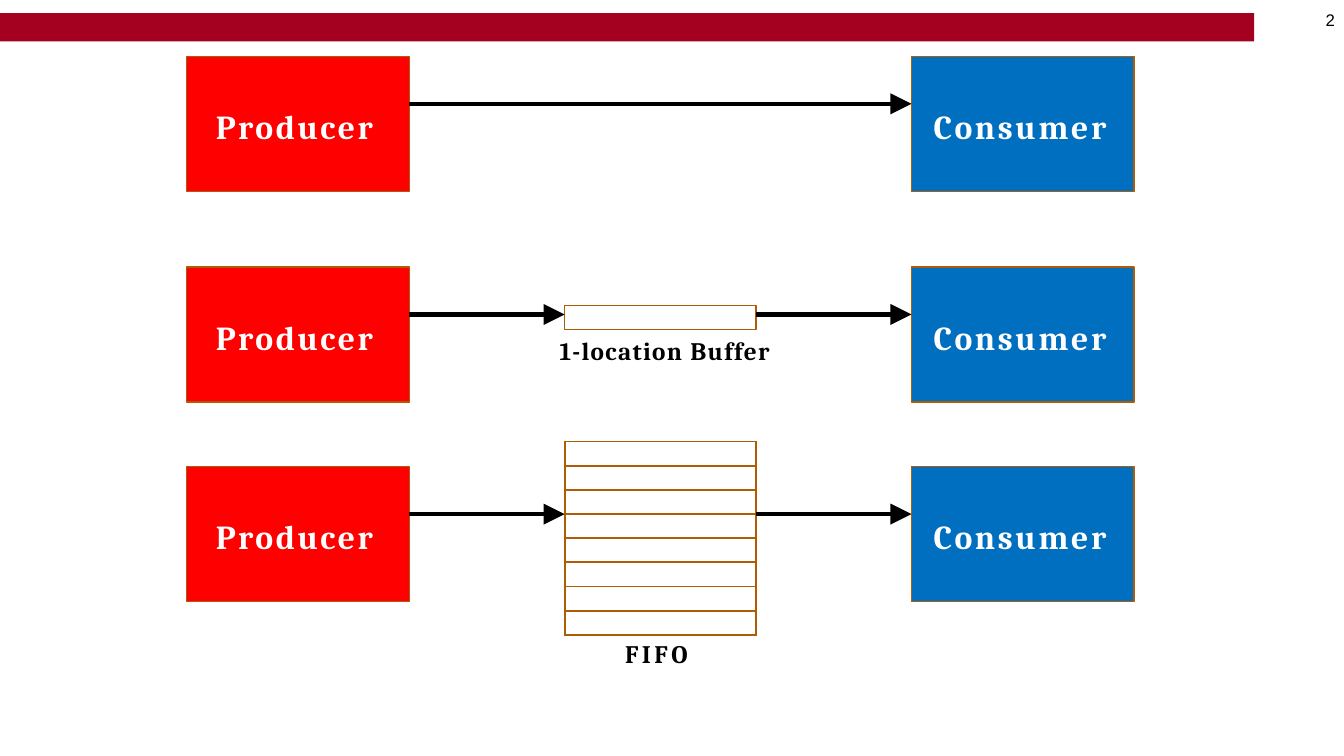
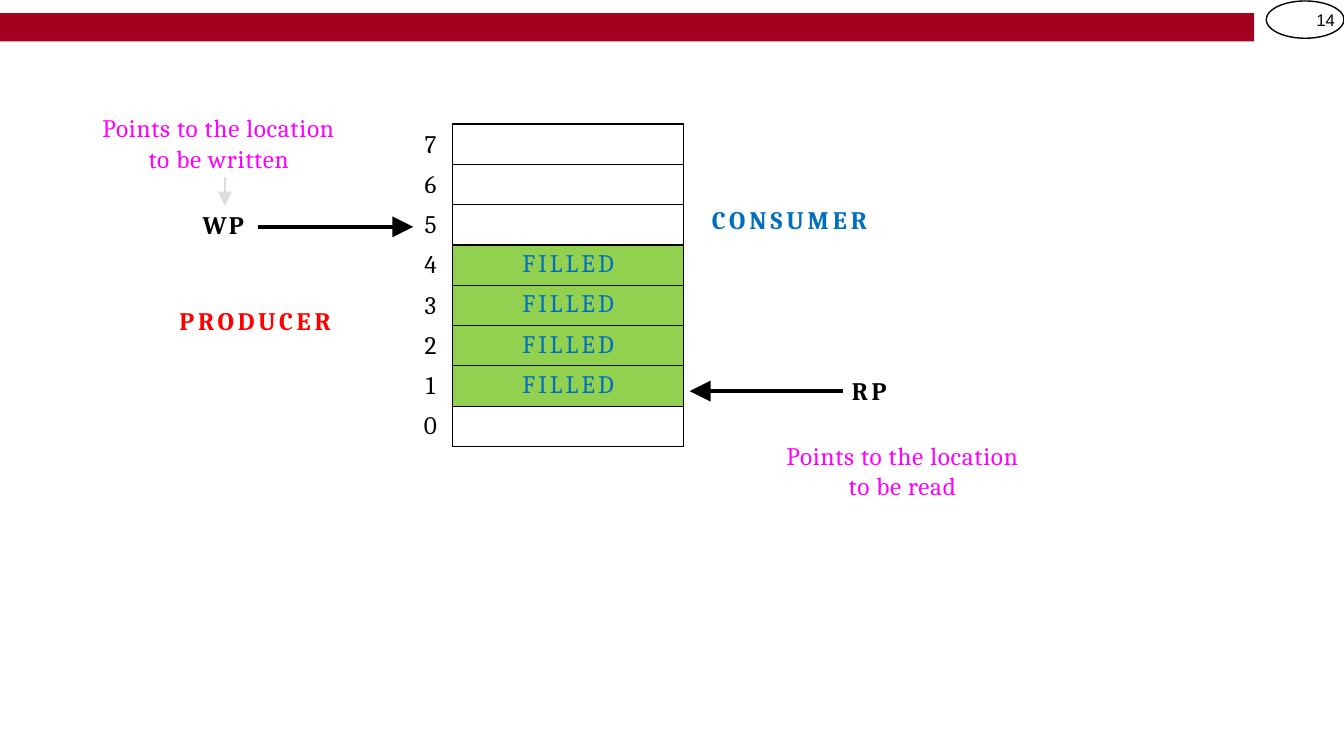
from lxml import etree
from pptx import Presentation, util as u
from pptx.dml.color import RGBColor
from pptx.enum import shapes, text
from pptx.oxml import ns

COLORS = {
    "band": "A40020", "outline": "AE5C05", "producer": "FF0000",
    "consumer": "006FC0", "filled": "92D050", "note": "FF00FF",
    "faint": "DDDDDD", "black": "000000", "white": "FFFFFF",
}
NUMBER = {"name": "Arial", "size": u.Pt(12), "bold": False}
BLOCK = {"name": "Cambria", "size": u.Pt(24), "bold": True}
LABEL = {"name": "Cambria", "size": u.Pt(18), "bold": True}
BODY = {"name": "Cambria", "size": u.Pt(18), "bold": False}
BLOCK_W, BLOCK_H = 2.21, 1.34


def rgb(color):
    return RGBColor.from_string(COLORS[color])


def inches(*lengths):
    return [u.Inches(length) for length in lengths]


def set_all(target, values):
    for name, value in values.items():
        setattr(target, name, value)


def set_margins(target, left=0, top=0):
    set_all(target, {"margin_left": u.Inches(left), "margin_top": u.Inches(top),
                     "margin_right": 0, "margin_bottom": 0})


def write(paragraph, words, style, color, spacing=0, **layout):
    set_all(paragraph, layout)
    run = paragraph.add_run()
    run.text = words
    set_all(run.font, style)
    run.font.color.rgb = rgb(color)
    run.font._element.set("spc", str(round(spacing * 100)))


def add_box(slide, kind, box, fill=None, line=None, width=1.1):
    shape = slide.shapes.add_shape(kind, *inches(*box))
    shape.shadow.inherit = False
    if fill:
        shape.fill.solid()
        shape.fill.fore_color.rgb = rgb(fill)
    else:
        shape.fill.background()
    if line:
        shape.line.color.rgb = rgb(line)
        shape.line.width = u.Pt(width)
    else:
        shape.line.fill.background()
    return shape


def add_label(slide, box, lines, style, color, spacing=0, top=0.01, **layout):
    frame = slide.shapes.add_textbox(*inches(*box)).text_frame
    frame.word_wrap = True
    set_margins(frame, top=top)
    for index, line in enumerate(lines):
        paragraph = frame.add_paragraph() if index else frame.paragraphs[0]
        write(paragraph, line, style, color, spacing, **layout)


def add_word(slide, left, top, width, word, color, spacing):
    add_label(slide, (left, top, width, 0.33), [word], LABEL, color, spacing,
              space_before=u.Pt(1))


def add_note(slide, left, top, lines):
    add_label(slide, (left, top, 2.48, 0.62), lines, BODY, "note", 0.5, top=0.03,
              alignment=text.PP_ALIGN.CENTER, line_spacing=u.Pt(21.5))


def add_arrow(slide, start, end, color="black", width=3):
    arrow = slide.shapes.add_connector(shapes.MSO_CONNECTOR.STRAIGHT, *inches(*start, *end))
    arrow.line.color.rgb = rgb(color)
    arrow.line.width = u.Pt(width)
    etree.SubElement(arrow.line._get_or_add_ln(), ns.qn("a:tailEnd"),
                     type="triangle", w="lg", len="lg")
    etree.SubElement(arrow._element.spPr, ns.qn("a:effectLst"))


def set_borders(cell, color, width):
    properties = cell._tc.get_or_add_tcPr()
    for side in ("lnL", "lnR", "lnT", "lnB"):
        line = etree.SubElement(properties, ns.qn(f"a:{side}"), w=str(u.Pt(width)))
        if color:
            fill = etree.SubElement(line, ns.qn("a:solidFill"))
            etree.SubElement(fill, ns.qn("a:srgbClr"), val=COLORS[color])
        else:
            etree.SubElement(line, ns.qn("a:noFill"))


def add_column(slide, left, top, width, heights, border=None, border_width=1):
    table = slide.shapes.add_table(
        len(heights), 1, *inches(left, top, width, sum(heights))).table
    set_all(table, {"first_row": False, "horz_banding": False})
    cells = []
    for row, height in zip(table.rows, heights):
        row.height = u.Inches(height)
        cell = row.cells[0]
        set_margins(cell)
        set_borders(cell, border, border_width)
        cell.fill.background()
        cells.append(cell)
    return cells


def shrink_empty(cells):
    for cell in cells:
        etree.SubElement(cell.text_frame.paragraphs[0]._p, ns.qn("a:endParaRPr"), sz="800")


def add_frame(presentation, number):
    slide = presentation.slides.add_slide(presentation.slide_layouts[6])
    add_box(slide, shapes.MSO_SHAPE.RECTANGLE, (0, 0.13, 12.44, 0.28), "band")
    add_label(slide, (12.84, 0.09, 0.4, 0.23), [str(number)], NUMBER, "black", -0.1,
              alignment=text.PP_ALIGN.RIGHT, space_before=u.Pt(1))
    return slide


def add_block(slide, left, top, word, color, indent, spacing):
    shape = add_box(slide, shapes.MSO_SHAPE.RECTANGLE, (left, top, BLOCK_W, BLOCK_H),
                    color, "outline")
    frame = shape.text_frame
    set_all(frame, {"word_wrap": False, "vertical_anchor": text.MSO_ANCHOR.MIDDLE})
    set_margins(frame, indent, 0.04)
    write(frame.paragraphs[0], word, BLOCK, color="white", spacing=spacing,
          alignment=text.PP_ALIGN.LEFT)


def add_link(slide, top, store=None):
    producer_left, consumer_left = 1.85, 9.04
    add_block(slide, producer_left, top, "Producer", "producer", 0.29, 1.8)
    add_block(slide, consumer_left, top, "Consumer", "consumer", 0.22, 1.9)
    stops = [producer_left + BLOCK_W, *(store or ()), consumer_left]
    for start, end in zip(stops[::2], stops[1::2]):
        add_arrow(slide, (start, top + 0.47), (end, top + 0.47))


def build_links(presentation):
    slide = add_frame(presentation, 2)
    left, width, slot = 5.6, 1.9, 0.24
    direct, buffered, queued = 0.56, 2.65, 4.63
    store = (left, left + width)
    shrink_empty(add_column(slide, left, queued - 0.25, width, [slot] * 8, "outline", 1.5))
    add_box(slide, shapes.MSO_SHAPE.RECTANGLE, (left, buffered + 0.38, width, slot),
            line="outline")
    add_link(slide, direct)
    add_link(slide, buffered, store)
    add_link(slide, queued, store)
    add_word(slide, 5.55, 3.32, 2.3, "1-location Buffer", "black", 0.95)
    add_word(slide, 6.2, 6.32, 0.9, "FIFO", "black", 2.5)


def add_memory(slide, left, top, width, filled):
    slots, height = 8, 0.4
    cells = add_column(slide, left, top, width, [height] * slots, "black")
    heights = [0.35] + [height] * (slots - 2) + [0.35]
    addresses = add_column(slide, left - 0.43, top + 0.06, 0.42, heights)
    for address, cell, name in zip(range(slots - 1, -1, -1), cells, addresses):
        if address in filled:
            set_margins(cell, top=0.05)
            cell.fill.solid()
            cell.fill.fore_color.rgb = rgb("filled")
            write(cell.text_frame.paragraphs[0], "FILLED", BODY, "consumer", 2.2,
                  alignment=text.PP_ALIGN.CENTER, space_before=u.Pt(3.5))
        else:
            shrink_empty([cell])
        first = address == slots - 1
        set_margins(name, top=0 if first else 0.05)
        write(name.text_frame.paragraphs[0], str(address), BODY, "black",
              alignment=text.PP_ALIGN.CENTER, line_spacing=u.Pt(21.4) if first else None,
              space_before=u.Pt(0 if first else 3.3))


def build_pointers(presentation):
    slide = add_frame(presentation, 14)
    add_box(slide, shapes.MSO_SHAPE.OVAL, (12.56, 0.01, 0.77, 0.37), line="black", width=1)
    add_memory(slide, 4.49, 1.23, 2.29, range(1, 5))
    for left, top, width, word, color, spacing in (
        (1.78, 3.02, 1.9, "PRODUCER", "producer", 2.7),
        (7.06, 2.02, 1.9, "CONSUMER", "consumer", 2.8),
        (2.01, 2.07, 0.55, "WP", "black", 1.6),
        (8.45, 3.71, 0.6, "RP", "black", 2.6),
    ):
        add_word(slide, left, top, width, word, color, spacing)
    add_arrow(slide, (2.56, 2.25), (4.1, 2.25))
    add_arrow(slide, (8.36, 3.88), (6.84, 3.88))
    add_note(slide, 0.93, 1.09, ["Points to the location to be written"])
    add_note(slide, 7.71, 4.34, ["Points to the location", "to be read"])
    add_arrow(slide, (2.23, 1.76), (2.23, 2.04), "faint", 1)


def main():
    presentation = Presentation()
    set_all(presentation, {"slide_width": u.Inches(13.33), "slide_height": u.Inches(7.5)})
    build_links(presentation)
    build_pointers(presentation)
    presentation.save("out.pptx")


if __name__ == "__main__":
    main()
